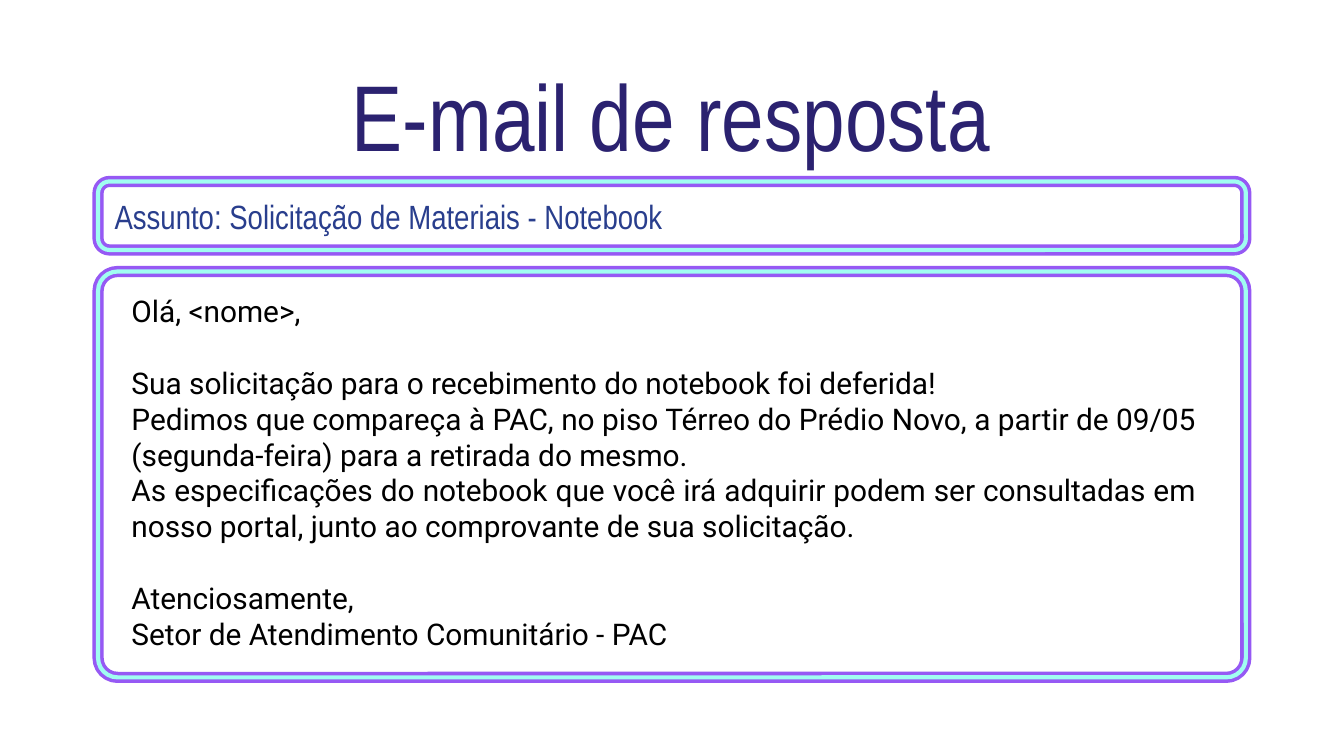
from dataclasses import dataclass
from pptx import Presentation
from pptx.dml.color import RGBColor as RGB
from pptx.enum.shapes import MSO_SHAPE as SHAPE
from pptx.enum.text import MSO_ANCHOR as ANCHOR, PP_ALIGN as ALIGN
from pptx.util import Inches, Pt


@dataclass(frozen=True)
class Theme:
    purple: RGB = RGB(0x96, 0x59, 0xF4)
    mint: RGB = RGB(0xA0, 0xFD, 0xF1)
    navy: RGB = RGB(0x2B, 0x22, 0x70)
    blue: RGB = RGB(0x29, 0x3E, 0x8D)
    black: RGB = RGB(0, 0, 0)
    heading_font: str = "Arial Narrow"
    body_font: str = "Roboto"
    title_size: int = 50
    subject_size: int = 18
    body_size: int = 16
    blank_line: float = 19.2


theme = Theme()


def setup_frame(sp, anchor):
    tf = sp.text_frame
    tf.word_wrap = True
    tf.vertical_anchor = anchor
    tf.margin_left = tf.margin_right = Inches(0.1)
    tf.margin_top = tf.margin_bottom = Inches(0.1)
    return tf


def add_text(p, text, font, size, color, align=ALIGN.LEFT):
    p.alignment = align
    r = p.add_run()
    r.text = text
    r.font.name = font
    r.font.size = Pt(size)
    r.font.color.rgb = color


prs = Presentation()
prs.slide_width = Inches(10)
prs.slide_height = Inches(10 * 9 / 16)
s = prs.slides.add_slide(prs.slide_layouts[6])

for top, height, radius in [(2.02, 3.02, 0.048), (1.35, 0.51, 0.167)]:
    frame = s.shapes.add_group_shape()
    for color, width in [(theme.purple, 6), (theme.mint, 2.25)]:
        sp = frame.shapes.add_shape(SHAPE.ROUNDED_RECTANGLE, Inches(0.73), Inches(top),
                                    Inches(8.54), Inches(height))
        sp.adjustments[0] = radius
        sp.shadow.inherit = False
        sp.fill.background()
        sp.line.color.rgb = color
        sp.line.width = Pt(width)

tf = setup_frame(sp, ANCHOR.MIDDLE)
add_text(tf.paragraphs[0], "Assunto: Solicitação de Materiais - Notebook",
         theme.heading_font, theme.subject_size, theme.blue)

title = s.shapes.add_textbox(Inches(0.56), Inches(0.33), Inches(8.87), Inches(0.56))
tf = setup_frame(title, ANCHOR.TOP)
add_text(tf.paragraphs[0], "E-mail de resposta",
         theme.heading_font, theme.title_size, theme.navy, ALIGN.CENTER)

message = [
    ("Olá, <nome>,", ALIGN.LEFT, 0),
    ("Sua solicitação para o recebimento do notebook foi deferida!",
     ALIGN.JUSTIFY, theme.blank_line),
    ("Pedimos que compareça à PAC, no piso Térreo do Prédio Novo, a partir de 09/05 "
     "(segunda-feira) para a retirada do mesmo.", ALIGN.JUSTIFY, 0),
    ("As especificações do notebook que você irá adquirir podem ser consultadas em "
     "nosso portal, junto ao comprovante de sua solicitação.", ALIGN.JUSTIFY, 0),
    ("Atenciosamente,", ALIGN.LEFT, theme.blank_line),
    ("Setor de Atendimento Comunitário - PAC", ALIGN.LEFT, 0),
]
body = s.shapes.add_textbox(Inches(0.88), Inches(2.08), Inches(8.12), Inches(2.9))
tf = setup_frame(body, ANCHOR.TOP)
for i, (text, align, gap) in enumerate(message):
    p = tf.add_paragraph() if i else tf.paragraphs[0]
    if gap:
        p.space_before = Pt(gap)
    add_text(p, text, theme.body_font, theme.body_size, theme.black, align)

prs.save("out.pptx")
